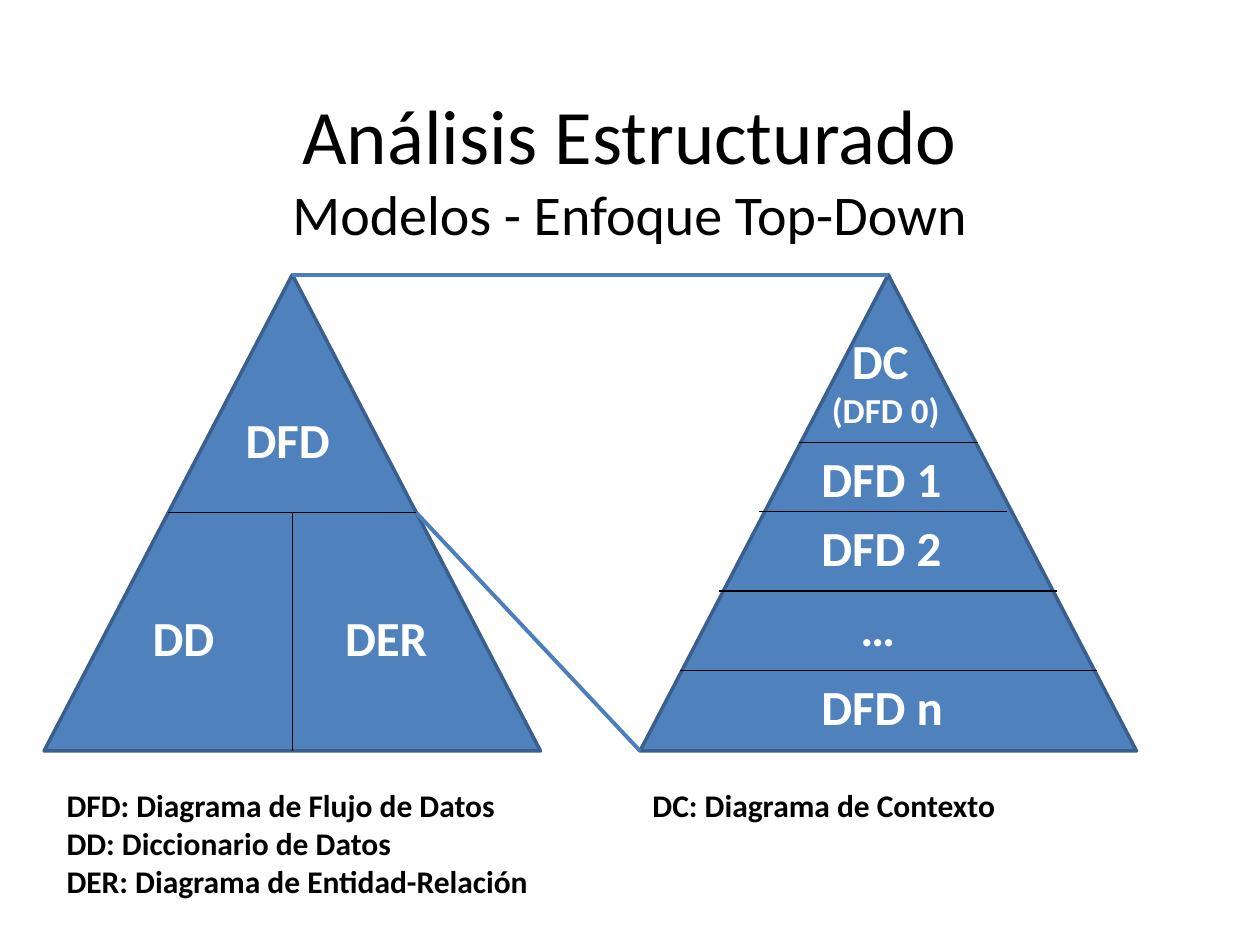
from lxml.etree import SubElement
from pptx import Presentation
from pptx.dml.color import RGBColor
from pptx.enum.shapes import MSO_CONNECTOR, MSO_SHAPE
from pptx.enum.text import MSO_ANCHOR, PP_ALIGN
from pptx.oxml.ns import qn
from pptx.util import Inches, Pt

TITLE = [("Análisis Estructurado", 44), ("Modelos - Enfoque Top-Down", 32)]
LABELS = [
    ([("DFD", 28)], (1.85, 3.2, 0.88, 0.57), "l"),
    ([("DD", 28)], (1.1, 4.77, 0.7, 0.57), "r"),
    ([("DER", 28)], (2.64, 4.77, 0.86, 0.57), "l"),
    ([("DC ", 28), ("(DFD 0)", 20)], (6.5, 2.57, 1.06, 0.91), "c"),
    ([("DFD 1", 28)], (6.42, 3.51, 1.17, 0.57), "l"),
    ([("DFD 2", 28)], (6.42, 4.06, 1.17, 0.57), "l"),
    ([("…", 28)], (6.73, 4.69, 0.48, 0.57), "l"),
    ([("DFD n", 28)], (6.42, 5.32, 1.18, 0.57), "l"),
]
LEGENDS = [
    (["DFD: Diagrama de Flujo de Datos", "DD: Diccionario de Datos",
      "DER: Diagrama de Entidad-Relación"], (0.43, 6.19, 4.33, 1.31)),
    (["DC: Diagrama de Contexto"], (5.08, 6.19, 3.86, 0.71)),
]
LEFT, RIGHT, TOP, WIDTH, HEIGHT = 0.35, 5.08, 2.18, 3.94, 3.78
BASE, MIDDLE = TOP + HEIGHT, TOP + HEIGHT / 2
LEFT_APEX, RIGHT_APEX = LEFT + WIDTH / 2, RIGHT + WIDTH / 2
LEVELS = [(3.51, 1.42), (4.06, 1.97), (4.69, 2.68), (5.32, 3.31)]
BLUE, EDGE, LINK, BLACK, WHITE = "4F81BD", "3A5F8C", "4B7EBC", "000000", "FFFFFF"
ALIGN = {"l": PP_ALIGN.LEFT, "c": PP_ALIGN.CENTER, "r": PP_ALIGN.RIGHT}

prs = Presentation()
prs.slide_width, prs.slide_height = Inches(10), Inches(7.5)
s = prs.slides.add_slide(prs.slide_layouts[6])


def rgb(value):
    return RGBColor.from_string(value)


def add_text(lines, box, color=BLACK, bold=True, align="l", wrap=True,
             anchor=MSO_ANCHOR.TOP, one_paragraph=False):
    tf = s.shapes.add_textbox(*map(Inches, box)).text_frame
    tf.word_wrap = wrap
    tf.vertical_anchor = anchor
    p = tf.paragraphs[0]
    for i, (text, size) in enumerate(lines):
        if i and one_paragraph:
            p.add_line_break()
        elif i:
            p = tf.add_paragraph()
        p.alignment = ALIGN[align]
        r = p.add_run()
        r.text = text
        r.font.name, r.font.size, r.font.bold = "Calibri", Pt(size), bold
        r.font.color.rgb = rgb(color)


def add_triangle(left):
    sp = s.shapes.add_shape(MSO_SHAPE.ISOSCELES_TRIANGLE,
                            *map(Inches, (left, TOP, WIDTH, HEIGHT)))
    sp.shadow.inherit = False
    sp.fill.solid()
    sp.fill.fore_color.rgb = rgb(BLUE)
    sp.line.color.rgb = rgb(EDGE)
    sp.line.width = Pt(2)


def add_line(x1, y1, x2, y2, color=BLACK, width=0.75):
    ln = s.shapes.add_connector(MSO_CONNECTOR.STRAIGHT,
                                *map(Inches, (x1, y1, x2, y2)))
    ln.line.color.rgb = rgb(color)
    ln.line.width = Pt(width)
    SubElement(ln._element.spPr, qn("a:effectLst"))


add_text(TITLE, (0.75, 0.52, 8.5, 1.61), bold=False, align="c",
         anchor=MSO_ANCHOR.MIDDLE, one_paragraph=True)

for left in (LEFT, RIGHT):
    add_triangle(left)

add_line(LEFT + WIDTH / 4, MIDDLE, LEFT + WIDTH * 3 / 4, MIDDLE)
add_line(LEFT_APEX, BASE, LEFT_APEX, MIDDLE)
add_line(LEFT + WIDTH * 3 / 4, MIDDLE, RIGHT, BASE, LINK, 2.25)
add_line(LEFT_APEX, TOP, RIGHT_APEX, TOP, LINK, 2.25)

for y, length in LEVELS:
    center = 7.01 if y == 4.06 else RIGHT_APEX
    add_line(center - length / 2, y, center + length / 2, y)

for lines, box, align in LABELS:
    add_text(lines, box, color=WHITE, align=align, wrap=False)

for lines, box in LEGENDS:
    add_text([(text, 18) for text in lines], box)

prs.save("out.pptx")
